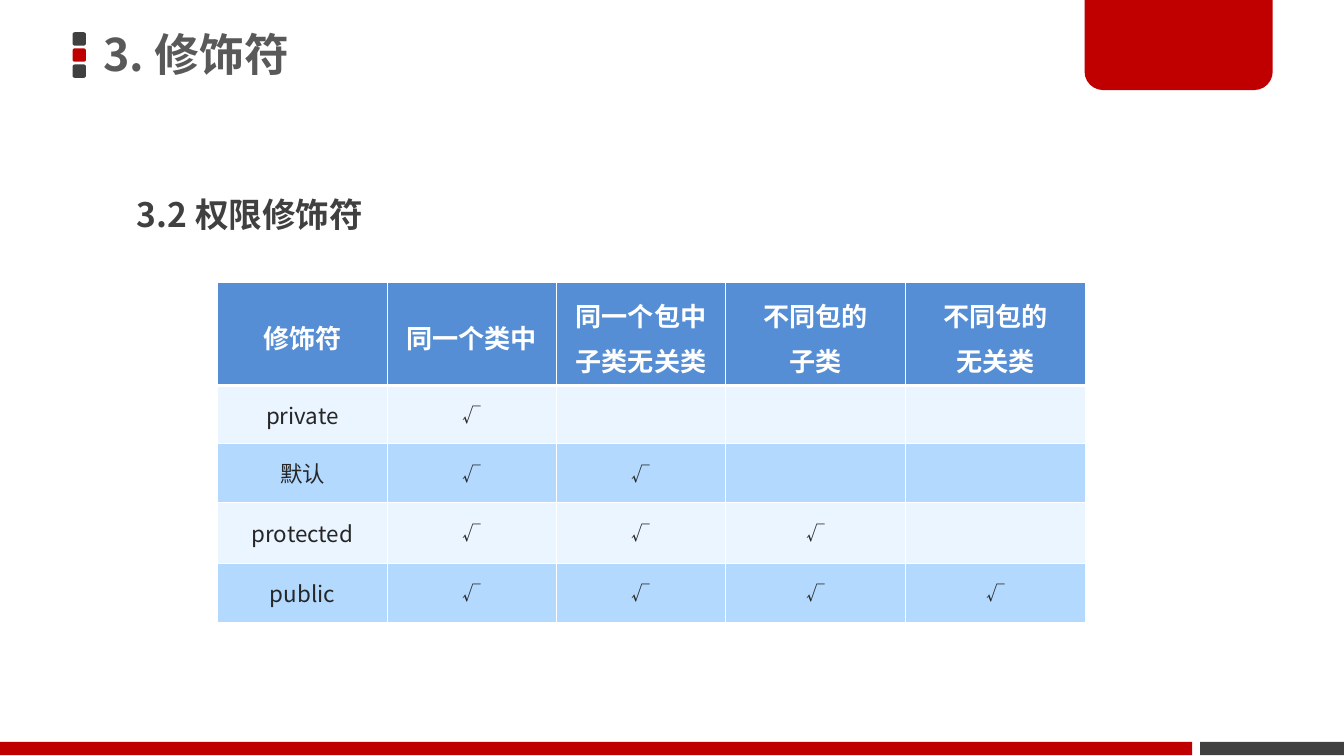
from dataclasses import dataclass

from lxml.etree import SubElement
from pptx import Presentation
from pptx.dml.color import RGBColor
from pptx.enum.shapes import MSO_SHAPE
from pptx.enum.text import MSO_ANCHOR, PP_ALIGN
from pptx.oxml.ns import qn
from pptx.util import Inches, Pt


@dataclass(frozen=True)
class Theme:
    font: str = "Noto Sans CJK SC"
    red: str = "C00000"
    dark: str = "404040"
    title: str = "595959"
    white: str = "FFFFFF"
    header: str = "558ED5"
    body: str = "262626"
    bands: tuple = ("EBF5FF", "B3D9FF")
    title_size: int = 24
    section_size: int = 18
    header_size: int = 14
    label_size: int = 12
    mark_size: int = 10


theme = Theme()


def add_block(preset, left, top, width, height, color):
    block = slide.shapes.add_shape(
        preset, Inches(left), Inches(top), Inches(width), Inches(height))
    block.shadow.inherit = False
    block.fill.solid()
    block.fill.fore_color.rgb = RGBColor.from_string(color)
    block.line.fill.background()
    return block


def add_text(paragraph, text, size, color, bold=False):
    run = paragraph.add_run()
    run.text = text
    run.font.size = Pt(size)
    run.font.bold = bold
    run.font.color.rgb = RGBColor.from_string(color)
    run.font.name = theme.font
    SubElement(run.font._element, qn("a:ea"), typeface=theme.font)


# A 16:9 slide
presentation = Presentation()
presentation.slide_width = Inches(10)
presentation.slide_height = Inches(10 * 9 / 16)
slide = presentation.slides.add_slide(presentation.slide_layouts[6])

# Three squares beside the title
for index, color in enumerate((theme.dark, theme.red, theme.dark)):
    add_block(MSO_SHAPE.ROUNDED_RECTANGLE, 0.54, 0.24 + 0.12 * index, 0.1, 0.1, color)

# Red tab at the top, rounded at its lower corners only
tab = add_block(MSO_SHAPE.ROUND_2_SAME_RECTANGLE, 8.07, -0.02, 1.4, 0.69, theme.red)
tab.adjustments[0] = 0
tab.adjustments[1] = 0.2

# Footer bars
add_block(MSO_SHAPE.RECTANGLE, 8.93, 5.52, 1.07, 0.1, theme.dark)
add_block(MSO_SHAPE.RECTANGLE, 0, 5.52, 8.87, 0.1, theme.red)

# Title
title = slide.shapes.add_textbox(
    Inches(0.69), Inches(-0.02), Inches(5.89), Inches(0.89)).text_frame
title.word_wrap = True
title.vertical_anchor = MSO_ANCHOR.MIDDLE
title.margin_left = title.margin_right = Inches(0.08)
title.margin_top = title.margin_bottom = Inches(0.04)
title.paragraphs[0].line_spacing = 0.9
add_text(title.paragraphs[0], "3. 修饰符", theme.title_size, theme.title, True)

# Section heading
section = slide.shapes.add_textbox(
    Inches(0.92), Inches(1.24), Inches(3.84), Inches(0.55)).text_frame
section.word_wrap = True
section.paragraphs[0].line_spacing = 1.5
add_text(section.paragraphs[0], "3.2 权限修饰符", theme.section_size, theme.dark, True)

# Access table: each modifier and the number of scopes that can reach it
headings = ["修饰符", "同一个类中", "同一个包中\n子类无关类", "不同包的\n子类", "不同包的\n无关类"]
scope_counts = {"private": 1, "默认": 2, "protected": 3, "public": 4}
rows = [headings]
for modifier, count in scope_counts.items():
    rows.append([modifier] + ["√"] * count + [""] * (4 - count))

access = slide.shapes.add_table(
    len(rows), len(headings), Inches(1.62), Inches(2.1), Inches(6.46), Inches(2.53)).table
for column, width in zip(access.columns, (1.26, 1.26, 1.26, 1.34, 1.34)):
    column.width = Inches(width)
for row, height in zip(access.rows, (0.77, 0.43, 0.44, 0.45, 0.44)):
    row.height = Inches(height)

for r, texts in enumerate(rows):
    for c, text in enumerate(texts):
        cell = access.cell(r, c)
        cell.vertical_anchor = MSO_ANCHOR.MIDDLE

        # White borders, heavier between the header and the body
        for side in "LRTB":
            heavy = (r, side) in ((0, "B"), (1, "T"))
            border = SubElement(cell._tc.get_or_add_tcPr(), qn(f"a:ln{side}"),
                                w=str(Pt(1.47 if heavy else 0.45)))
            fill = SubElement(border, qn("a:solidFill"))
            SubElement(fill, qn("a:srgbClr"), val=theme.white)
        cell.fill.solid()
        cell.fill.fore_color.rgb = RGBColor.from_string(
            theme.header if r == 0 else theme.bands[(r - 1) % 2])

        # Cell wording
        for i, line in enumerate(text.split("\n")):
            frame = cell.text_frame
            paragraph = frame.add_paragraph() if i else frame.paragraphs[0]
            paragraph.alignment = PP_ALIGN.CENTER
            if r == 0:
                paragraph.line_spacing = Pt(24)
                add_text(paragraph, line, theme.header_size, theme.white, True)
            elif line:
                size = theme.mark_size if c else theme.label_size
                add_text(paragraph, line, size, theme.body)
            else:
                # Keep blank cells from stretching their row
                SubElement(paragraph._p, qn("a:endParaRPr"), sz=str(theme.mark_size * 100))

presentation.save("out.pptx")
